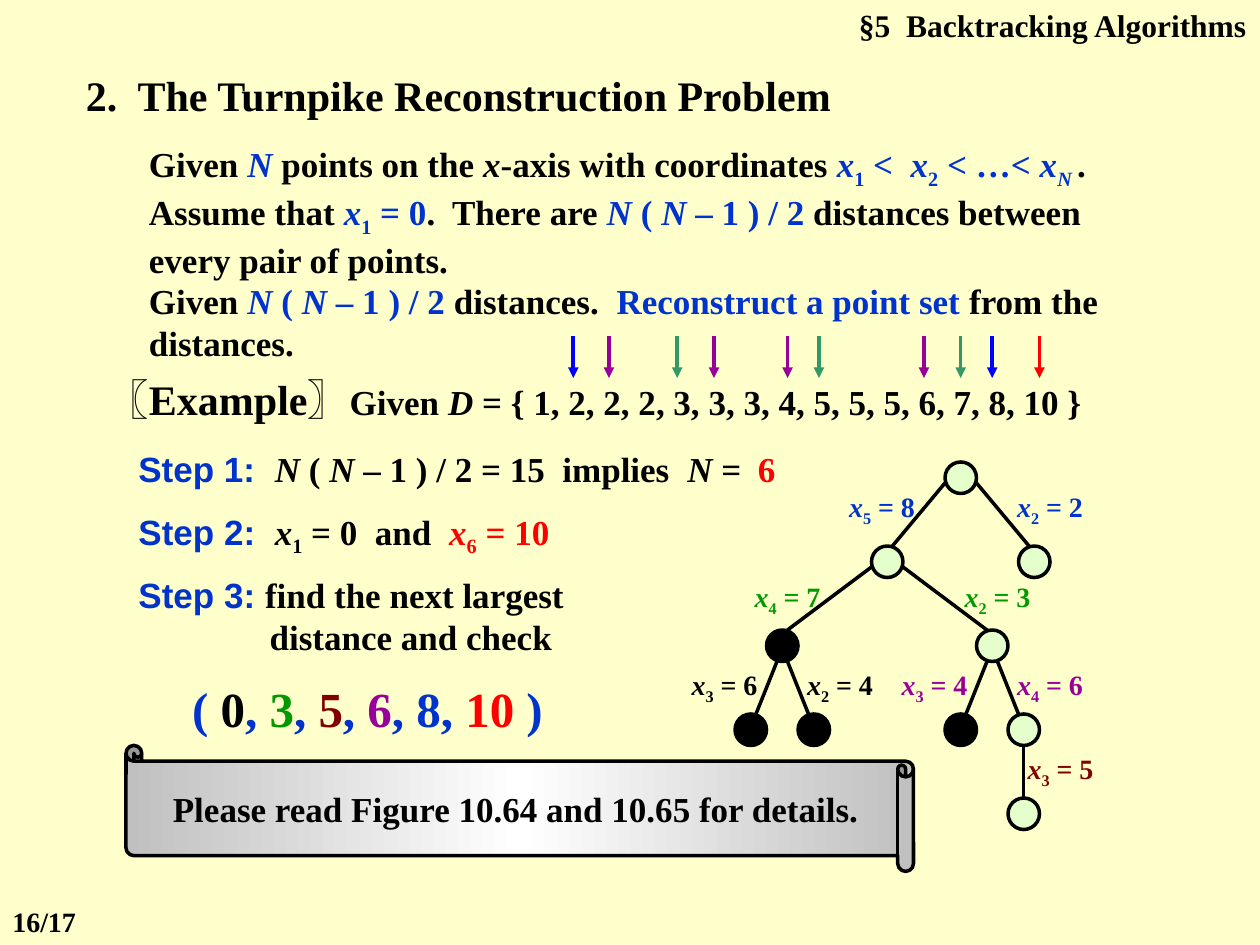
from pptx import Presentation
from pptx import oxml, util as u
from pptx.dml import color as dml
from pptx.enum import shapes as kinds, text as txt
from pptx.oxml import ns

BLACK, BLUE, RED, GREEN = "000000", "0033CC", "FF0000", "009900"
PURPLE, MAROON, TEAL, PURE_BLUE = "990099", "800000", "339966", "0000FF"
SERIF, SANS = "Times New Roman", "Arial"
NODE = 3


def grid(steps):
    """Turn grid steps, 120 across the slide, into a length."""
    return u.Cm(steps * 25.4 / 120)


def rgb(code):
    """Turn a hex string into a colour."""
    return dml.RGBColor.from_string(code)


def element(tag, attributes="", inner=""):
    """Make a DrawingML element."""
    return oxml.parse_xml(f"<a:{tag} {ns.nsdecls('a')} {attributes}>{inner}</a:{tag}>")


def var(name, index, color=BLACK):
    """Give the runs of an italic name with its subscript."""
    return [(name, color, "i"), (index, color, "sub")]


def pair_count(color):
    """Give the runs of the number of point pairs."""
    return [("N", color, "i"), (" ( ", color), ("N", color, "i"), (" – 1 ) / 2", color)]


def write(frame, runs, size, align=None, wrap=True):
    """Fill a text frame run by run and return its paragraph."""
    frame.word_wrap = wrap
    paragraph = frame.paragraphs[0]
    paragraph.alignment = align
    for words, color, *style in runs:
        run = paragraph.add_run()
        run.text = words
        run.font.size = u.Pt(size)
        run.font.bold = True
        run.font.italic = "i" in style
        run.font.name = SANS if "sans" in style else SERIF
        run.font.color.rgb = rgb(color)
        if "sub" in style:
            run.font._element.set("baseline", "-25000")
    return paragraph


def add_text(slide, place, runs, size=20, align=None, wrap=True):
    """Place a text box on the grid and return its paragraph."""
    box = slide.shapes.add_textbox(*map(grid, place))
    return write(box.text_frame, runs, size, align, wrap)


def add_line(slide, start, end, color=BLACK, arrow=False):
    """Draw a straight line, with an arrowhead at its end if asked."""
    line = slide.shapes.add_connector(
        kinds.MSO_CONNECTOR.STRAIGHT, *map(grid, (*start, *end)))
    line.line.color.rgb = rgb(color)
    line.line.width = u.Pt(2)
    properties = line._element.spPr
    if arrow:
        properties.find(ns.qn("a:ln")).append(element("tailEnd", 'type="triangle"'))
    properties.append(element("effectLst"))


def add_outlined(slide, kind, place):
    """Draw a preset shape with a black outline."""
    shape = slide.shapes.add_shape(kind, *map(grid, place))
    shape.shadow.inherit = False
    shape.line.color.rgb = rgb(BLACK)
    shape.line.width = u.Pt(2)
    return shape


def add_node(slide, left, top, dead=False):
    """Draw a tree node, black when its branch is dead."""
    node = add_outlined(slide, kinds.MSO_SHAPE.OVAL, (left, top, NODE, NODE))
    node.fill.solid()
    node.fill.fore_color.rgb = rgb(BLACK if dead else "CCFFCC")
    if not dead:
        tint = node._element.spPr.find(ns.qn("a:solidFill"))[0]
        tint.append(element("alpha", 'val="50000"'))


def add_tree(slide):
    """Draw the search tree with its labelled branches."""
    branches = [
        ((90, 46), (85, 52), (83, 52), False, "5", 8, BLUE, (79, 46)),
        ((93, 46), (98, 52), (97, 52), False, "2", 2, BLUE, (95, 46)),
        ((83, 54), (75, 60), (73, 60), True, "4", 7, GREEN, (70, 54.6)),
        ((86, 54), (94, 60), (93, 60), False, "2", 3, GREEN, (90, 54.6)),
        ((74, 63), (72, 68), (70, 68), True, "3", 6, BLACK, (64, 63)),
        ((75, 63), (77, 68), (76, 68), True, "2", 4, BLACK, (75, 63)),
        ((94, 63), (92, 68), (90, 68), True, "3", 4, PURPLE, (84, 63)),
        ((95, 63), (97, 68), (96, 68), False, "4", 6, PURPLE, (95, 63)),
        ((97.5, 71), (97.5, 76), (96, 76), False, "3", 5, MAROON, (96, 71)),
    ]
    add_node(slide, 90, 44)
    for start, end, child, dead, index, value, color, label in branches:
        add_line(slide, start, end)
        add_node(slide, *child, dead)
        add_text(slide, (*label, 10, 4.9),
                 var("x", index, color) + [(f" = {value}", color)],
                 16, txt.PP_ALIGN.CENTER)


def add_used_distances(slide):
    """Draw the arrows at the distances already used."""
    used = {RED: [99], PURE_BLUE: [54.6, 94.5], TEAL: [64.5, 78, 91.5],
            PURPLE: [58, 68, 75, 88]}
    for color, columns in used.items():
        for column in columns:
            add_line(slide, (column, 32), (column, 36), color, arrow=True)


def add_scroll(slide):
    """Draw the scroll with the reading advice."""
    scroll = add_outlined(slide, kinds.MSO_SHAPE.HORIZONTAL_SCROLL, (12, 71, 75, 12))
    properties = scroll._element.spPr
    properties.xfrm.set("flipH", "1")
    stops = "".join(
        f'<a:gs pos="{position}"><a:srgbClr val="{color}"/></a:gs>'
        for position, color in ((0, "C0C0C0"), (50000, "FFFFFF"), (100000, "C0C0C0")))
    sheen = element("gradFill", "", f'<a:gsLst>{stops}</a:gsLst><a:lin ang="0"/>')
    properties.find(ns.qn("a:prstGeom")).addnext(sheen)
    scroll.text_frame.vertical_anchor = txt.MSO_ANCHOR.MIDDLE
    write(scroll.text_frame,
          [("Please read Figure 10.64 and 10.65 for details.", BLACK)],
          20, txt.PP_ALIGN.CENTER, wrap=False)


def add_problem(slide):
    """Write the heading, the problem and the example."""
    add_text(slide, (76, 0, 43.9, 4.8), [("§5  Backtracking Algorithms", BLACK)],
             18, txt.PP_ALIGN.RIGHT)
    add_text(slide, (7, 6, 77, 6), [("2.  The Turnpike Reconstruction Problem", BLACK)], 24)
    add_text(slide, (13, 13, 98, 14.3), [
        ("Given ", BLACK), ("N", BLUE, "i"), (" points on the ", BLACK),
        ("x", BLACK, "i"), ("-axis with coordinates ", BLACK),
        *var("x", "1", BLUE), (" <  ", BLUE), *var("x", "2", BLUE), (" < …< ", BLUE),
        ("x", BLUE, "i"), ("N ", BLUE, "i", "sub"), (".  Assume that ", BLACK),
        *var("x", "1", BLUE), (" = 0", BLUE), (".  There are ", BLACK),
        *pair_count(BLUE), (" distances between every pair of points.", BLACK)])
    add_text(slide, (13, 26, 98, 9.2), [
        ("Given ", BLACK), *pair_count(BLUE), (" distances.  ", BLACK),
        ("Reconstruct a point set", BLUE), (" from the distances.", BLACK)])
    example = add_text(slide, (9, 35, 99, 6), [
        ("〖Example〗", BLACK), ("Given ", BLACK), ("D", BLACK, "i"),
        (" = { 1, 2, 2, 2, 3, 3, 3, 4, 5, 5, 5, 6, 7, 8, 10 }", BLACK)])
    example.runs[0].font.size = u.Pt(24)


def add_steps(slide):
    """Write the three steps and the resulting point set."""
    add_text(slide, (12, 42, 66, 5.3), [
        ("Step 1:  ", BLUE, "sans"), *pair_count(BLACK),
        (" = 15  implies  ", BLACK), ("N", BLACK, "i"), (" =", BLACK)])
    add_text(slide, (71, 42, 4.1, 5.3), [("6", RED)], wrap=False)
    add_text(slide, (12, 48, 46, 5.8), [
        ("Step 2:  ", BLUE, "sans"), *var("x", "1"), (" = 0  and  ", BLACK),
        *var("x", "6", RED), (" = 10", RED)])
    check = add_text(slide, (12, 54, 46, 9.2), [
        ("Step 3: ", BLUE, "sans"), ("find the next largest distance and check", BLACK)])
    hanging = grid(12.5)
    margins = check._p.get_or_add_pPr()
    margins.set("marL", str(hanging))
    margins.set("indent", str(-hanging))
    add_text(slide, (14, 64, 42, 6.8), [
        ("( ", BLUE), ("0", BLACK), (", ", BLUE), ("3", GREEN), (", ", BLUE),
        ("5", MAROON), (", ", BLUE), ("6", PURPLE), (", 8, ", BLUE),
        ("10", RED), (" )", BLUE)], 28, txt.PP_ALIGN.CENTER)


def main():
    """Build and save the slide."""
    deck = Presentation()
    deck.slide_width, deck.slide_height = grid(120), grid(90)
    slide = deck.slides.add_slide(deck.slide_layouts[6])
    slide.background.fill.solid()
    slide.background.fill.fore_color.rgb = rgb("FFFFCC")
    add_problem(slide)
    add_used_distances(slide)
    add_steps(slide)
    add_tree(slide)
    add_scroll(slide)
    add_text(slide, (0, 85.6, 11.8, 4.4), [("16/17", BLACK)], 16)
    deck.save("out.pptx")


if __name__ == "__main__":
    main()
